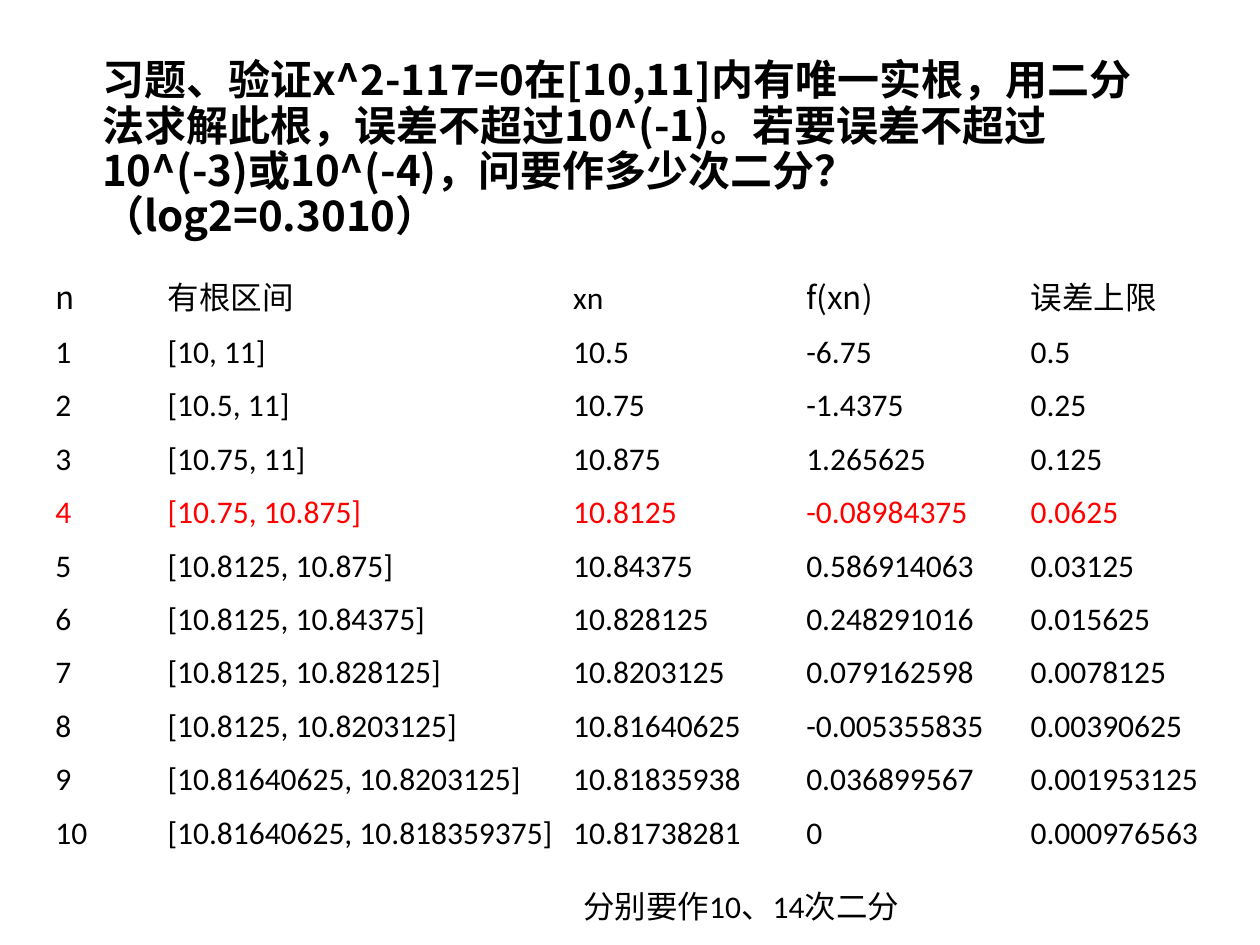
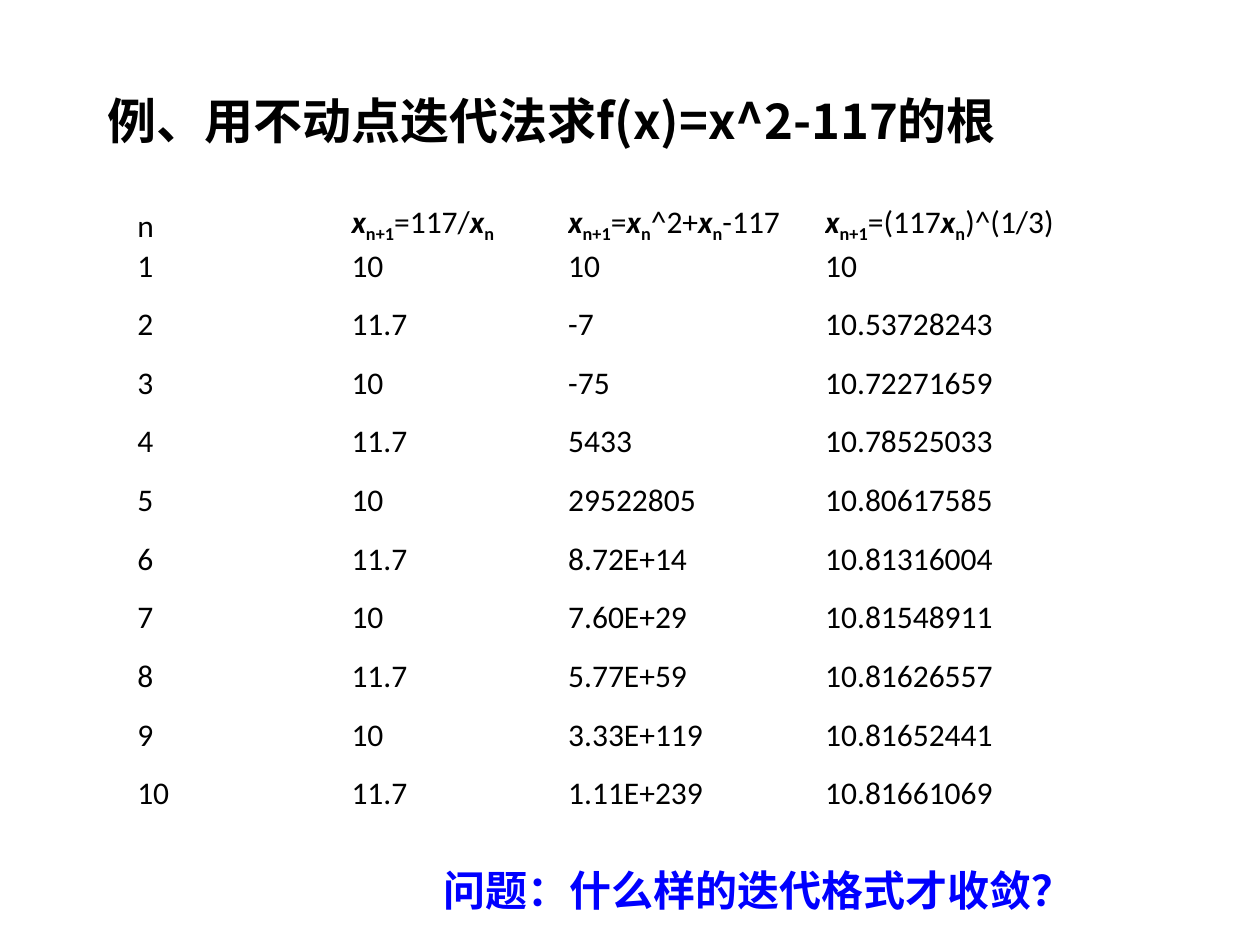
from lxml.etree import SubElement
from pptx import Presentation
from pptx.dml.color import RGBColor
from pptx.enum.text import MSO_ANCHOR, MSO_AUTO_SIZE, PP_ALIGN
from pptx.oxml.ns import qn
from pptx.util import Inches, Pt

COLORS = {"background": "FFFFFF", "text": "000000", "highlight": "FF0000", "question": "0000FF"}
LATIN, CJK = "Calibri", "Noto Sans CJK SC"
TITLE_ONLY = 5

# Run formats for the iteration formulas
PLAIN = {}
VARIABLE = {"bold": True, "italic": True}
SUBSCRIPT = {"bold": True, "baseline": -25000}
X_N = [("x", VARIABLE), ("n", SUBSCRIPT)]
X_NEXT = [("x", VARIABLE), ("n+1", SUBSCRIPT)]

BISECTION_HEADER = ["n", "有根区间", "xn", "f(xn)", "误差上限"]
BISECTION_STEPS = [
    ("[10, 11]", "10.5", "-6.75", "0.5"),
    ("[10.5, 11]", "10.75", "-1.4375", "0.25"),
    ("[10.75, 11]", "10.875", "1.265625", "0.125"),
    ("[10.75, 10.875]", "10.8125", "-0.08984375", "0.0625"),
    ("[10.8125, 10.875]", "10.84375", "0.586914063", "0.03125"),
    ("[10.8125, 10.84375]", "10.828125", "0.248291016", "0.015625"),
    ("[10.8125, 10.828125]", "10.8203125", "0.079162598", "0.0078125"),
    ("[10.8125, 10.8203125]", "10.81640625", "-0.005355835", "0.00390625"),
    ("[10.81640625, 10.8203125]", "10.81835938", "0.036899567", "0.001953125"),
    ("[10.81640625, 10.818359375]", "10.81738281", "0", "0.000976563"),
]
ACCURATE_STEP = 4

ITERATION_HEADER = [
    "n",
    X_NEXT + [("=117/", PLAIN)] + X_N,
    X_NEXT + [("=", PLAIN)] + X_N + [("^2+", PLAIN)] + X_N + [("-117", PLAIN)],
    X_NEXT + [("=(117", PLAIN)] + X_N + [(")^(1/3)", PLAIN)],
]
ITERATION_STEPS = [
    ("10", "10", "10"),
    ("11.7", "-7", "10.53728243"),
    ("10", "-75", "10.72271659"),
    ("11.7", "5433", "10.78525033"),
    ("10", "29522805", "10.80617585"),
    ("11.7", "8.72E+14", "10.81316004"),
    ("10", "7.60E+29", "10.81548911"),
    ("11.7", "5.77E+59", "10.81626557"),
    ("10", "3.33E+119", "10.81652441"),
    ("11.7", "1.11E+239", "10.81661069"),
]


def add_run(paragraph, text, size=18, font=LATIN, color="text", baseline=None, **format_values):
    run = paragraph.add_run()
    run.text = text
    values = {"size": Pt(size), "name": font, "bold": False, "italic": False} | format_values
    for name, value in values.items():
        setattr(run.font, name, value)
    run.font.color.rgb = RGBColor.from_string(COLORS[color])
    # East Asian typeface and subscript offset
    properties = run._r.get_or_add_rPr()
    SubElement(properties, qn("a:ea")).set("typeface", CJK)
    if baseline:
        properties.set("baseline", str(baseline))


def place(shape, box):
    for name, length in zip(("left", "top", "width", "height"), box):
        setattr(shape, name, Inches(length))


def add_title_slide(presentation, title, box, size, line_height):
    slide = presentation.slides.add_slide(presentation.slide_layouts[TITLE_ONLY])
    slide.background.fill.solid()
    slide.background.fill.fore_color.rgb = RGBColor.from_string(COLORS["background"])
    shape = slide.shapes.title
    place(shape, box)
    frame = shape.text_frame
    for name, value in {"word_wrap": True, "auto_size": MSO_AUTO_SIZE.NONE,
                        "vertical_anchor": MSO_ANCHOR.TOP}.items():
        setattr(frame, name, value)
    paragraph = frame.paragraphs[0]
    paragraph.alignment = PP_ALIGN.LEFT
    paragraph.line_spacing = Pt(line_height)
    add_run(paragraph, title, size, CJK, bold=True)
    return slide


def add_note(slide, text, box, wrap, alignment, **format_values):
    frame = slide.shapes.add_textbox(*map(Inches, box)).text_frame
    frame.word_wrap = wrap
    paragraph = frame.paragraphs[0]
    paragraph.alignment = alignment
    add_run(paragraph, text, **format_values)


def fill_cell(cell, content, **format_values):
    cell.fill.background()
    margins = dict.fromkeys(("margin_left", "margin_right", "margin_top"), Inches(0.01))
    for name, value in (margins | {"margin_bottom": 0, "vertical_anchor": MSO_ANCHOR.BOTTOM}).items():
        setattr(cell, name, value)
    parts = [(content, PLAIN)] if isinstance(content, str) else content
    for text, part_format in parts:
        add_run(cell.text_frame.paragraphs[0], text, **(format_values | part_format))


def add_step_table(slide, box, widths, heights, header, steps, cjk_columns=(), highlight=None):
    rows = [header] + [(str(n), *step) for n, step in enumerate(steps, 1)]
    table = slide.shapes.add_table(len(rows), len(header), *map(Inches, box)).table
    table.first_row = table.horz_banding = False
    for column, width in zip(table.columns, widths):
        column.width = Inches(width)
    for row, height in zip(table.rows, heights):
        row.height = Inches(height)
    for n, row in enumerate(rows):
        for index, content in enumerate(row):
            fill_cell(table.cell(n, index), content,
                      font=CJK if n == 0 and index in cjk_columns else LATIN,
                      color="highlight" if n == highlight else "text")


def build_bisection_slide(presentation):
    slide = add_title_slide(
        presentation,
        "习题、验证x^2-117=0在[10,11]内有唯一实根，用二分法求解此根，误差不超过10^(-1)。"
        "若要误差不超过10^(-3)或10^(-4)，问要作多少次二分？（log2=0.3010）",
        (0.71, 0.42, 8.58, 1.56), 24, 25.8)
    height = 4.67
    row_count = len(BISECTION_STEPS) + 1
    add_step_table(slide, (0.43, 2.1, 9.13, height), (0.89, 3.22, 1.85, 1.78, 1.4),
                   [height / row_count] * row_count, BISECTION_HEADER, BISECTION_STEPS,
                   cjk_columns=(0, 1, 3, 4), highlight=ACCURATE_STEP)
    add_note(slide, "分别要作10、14次二分", (4.53, 6.99, 3.45, 0.5), False, PP_ALIGN.LEFT)


def build_fixed_point_slide(presentation):
    slide = add_title_slide(presentation, "例、用不动点迭代法求f(x)=x^2-117的根",
                            (0.75, 0.69, 8.58, 0.95), 28, 32)
    # The header and first step have their own heights; the rest are equal
    later_steps = len(ITERATION_STEPS) - 1
    heights = [0.7, 0.24] + [4.19 / later_steps] * later_steps
    add_step_table(slide, (1.08, 1.25, 7.64, sum(heights)), (1.7, 1.72, 2.04, 2.17),
                   heights, ITERATION_HEADER, ITERATION_STEPS)
    add_note(slide, "问题：什么样的迭代格式才收敛？", (3.42, 6.81, 6.17, 0.5), True,
             PP_ALIGN.JUSTIFY, size=24, font=CJK, color="question", bold=True)


def main():
    presentation = Presentation()
    presentation.slide_width, presentation.slide_height = Inches(10), Inches(7.5)
    build_bisection_slide(presentation)
    build_fixed_point_slide(presentation)
    presentation.save("out.pptx")


if __name__ == "__main__":
    main()
